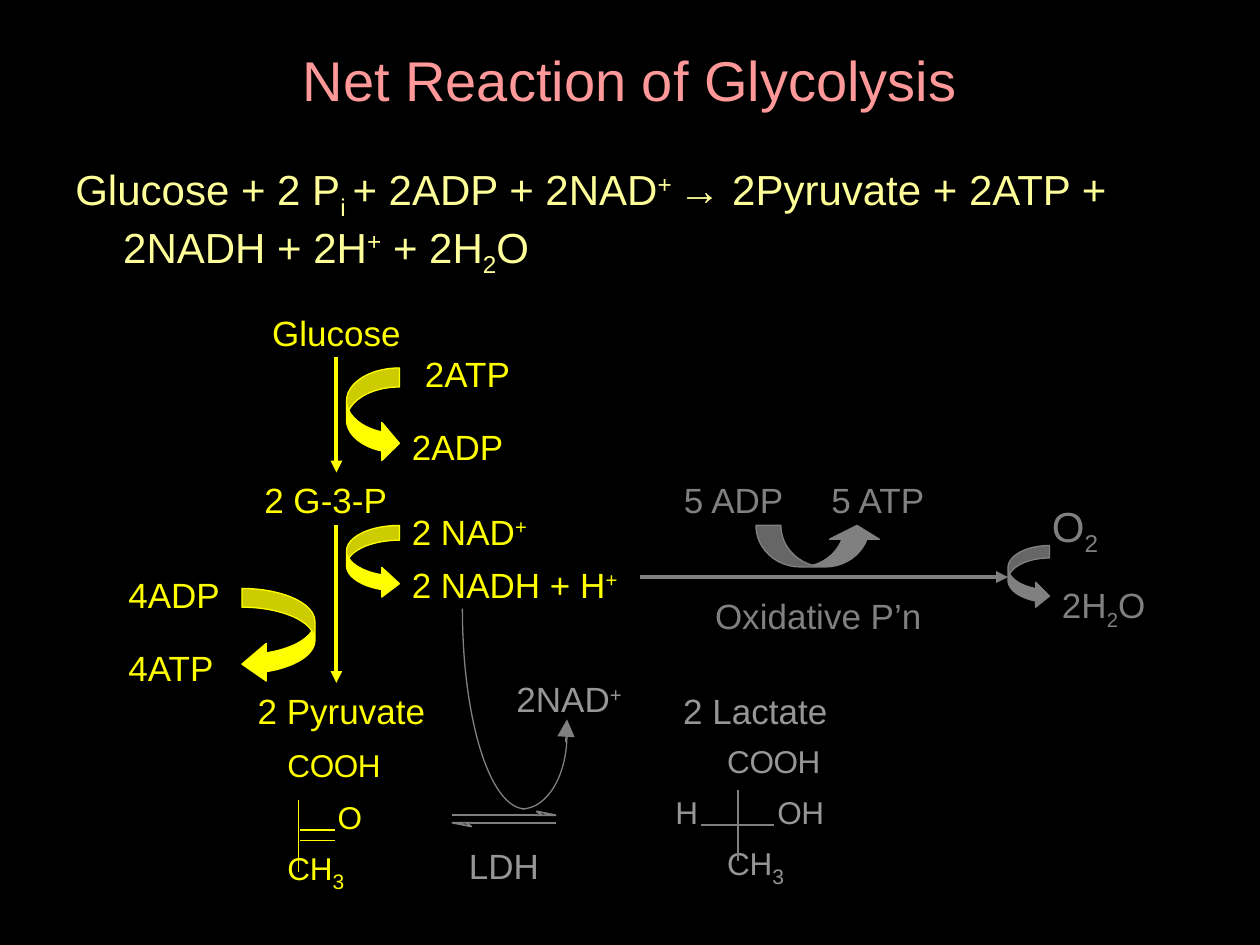
import pptx
import pptx.dml.color
import pptx.enum.shapes
import pptx.enum.text
import pptx.oxml.ns
import pptx.util
from lxml import etree

Inches = pptx.util.Inches
Pt = pptx.util.Pt
Shape = pptx.enum.shapes.MSO_SHAPE
Align = pptx.enum.text.PP_ALIGN
Anchor = pptx.enum.text.MSO_ANCHOR
qn = pptx.oxml.ns.qn

BLACK, YELLOW, GRAY, SILVER = "000000", "FFFF00", "808080", "969696"
WIDTHS = {"C": 0.18, "H": 0.18, "O": 0.19, "3": 0.09}


def rgb(code):
    """Turn a hex string into a colour."""
    return pptx.dml.color.RGBColor.from_string(code)


class Slide:
    """Holds the style and the current slide."""

    font = "Arial"

    def __init__(self, deck):
        """Add a blank slide with a black ground."""
        self.page = deck.slides.add_slide(deck.slide_layouts[6])
        self.shapes = self.page.shapes
        self.page.background.fill.solid()
        self.page.background.fill.fore_color.rgb = rgb(BLACK)

    def text(self, x, y, w, h, words, color, size=20, align=Align.LEFT):
        """Add text; parts split by | are lowered by _ or raised by ^."""
        box = self.shapes.add_textbox(Inches(x), Inches(y), Inches(w), Inches(h))
        frame = box.text_frame
        frame.word_wrap = True
        para = frame.paragraphs[0]
        para.alignment = align
        para.font.name = self.font
        para.font.size = Pt(size)
        para.font.color.rgb = rgb(color)
        for part in words.split("|"):
            run = para.add_run()
            run.text = part.lstrip("_^")
            shift = {"_": "-25000", "^": "30000"}.get(part[0])
            if shift:
                run._r.get_or_add_rPr().set("baseline", shift)
        return frame

    def atoms(self, x, y, letters, color):
        """Set the letters of a formula side by side."""
        for letter in letters:
            low = letter.isdigit()
            wide = WIDTHS[letter]
            frame = self.text(x, y + 0.15 * low, wide, 0.2 if low else 0.3, letter,
                              color, 12 if low else 18, Align.CENTER)
            frame.word_wrap = False
            frame.margin_left = frame.margin_right = 0
            frame.margin_top = frame.margin_bottom = 0
            x += wide

    def line(self, x1, y1, x2, y2, color, width=1, head=None):
        """Add a line, with an arrowhead of the given size if any."""
        line = self.shapes.add_connector(
            pptx.enum.shapes.MSO_CONNECTOR.STRAIGHT,
            Inches(x1), Inches(y1), Inches(x2), Inches(y2))
        line.line.color.rgb = rgb(color)
        line.line.width = Pt(width)
        props = line._element.spPr
        if head:
            etree.SubElement(props.find(qn("a:ln")), qn("a:tailEnd"),
                             type="triangle", w=head, len=head)
        etree.SubElement(props, qn("a:effectLst"))

    def paint(self, shape, fill, color, width):
        """Give a shape its fill and line, and no shadow."""
        shape.shadow.inherit = False
        if fill:
            shape.fill.solid()
            shape.fill.fore_color.rgb = rgb(fill)
        else:
            shape.fill.background()
        shape.line.color.rgb = rgb(color)
        shape.line.width = Pt(width)

    def bend(self, kind, x, y, w, h, adjust, color):
        """Add a curved block arrow."""
        arrow = self.shapes.add_shape(kind, Inches(x), Inches(y), Inches(w), Inches(h))
        for index, value in enumerate((adjust, 2 * adjust, 0.333)):
            arrow.adjustments[index] = value
        self.paint(arrow, color, color, 0.75)

    def free(self, points, close):
        """Build an outline through the points."""
        spots = [(Inches(x), Inches(y)) for x, y in points]
        path = self.shapes.build_freeform(*spots[0])
        path.add_line_segments(spots[1:], close=close)
        return path.convert_to_shape()

    def barb(self, points):
        """Add a small half arrowhead."""
        self.paint(self.free(points, True), BLACK, GRAY, 1)

    def curve(self, points):
        """Add a Bezier curve from its four points."""
        shape = self.free(points, False)
        steps = list(shape._element.iter(qn("a:lnTo")))
        bezier = etree.SubElement(steps[0].getparent(), qn("a:cubicBezTo"))
        for step in steps:
            bezier.append(step[0])
            step.getparent().remove(step)
        self.paint(shape, None, GRAY, 0.75)


deck = pptx.Presentation()
deck.slide_width, deck.slide_height = Inches(10), Inches(7.5)
slide = Slide(deck)

title = slide.text(0.5, 0, 9, 1.25, "Net Reaction of Glycolysis", "FF9999", 32, Align.CENTER)
title.vertical_anchor = Anchor.MIDDLE
body = slide.text(
    0.5, 1.25, 9.17, 0.92,
    "Glucose + 2 P|_i |+ 2ADP + 2NAD|^+ |→ 2Pyruvate + 2ATP + 2NADH + 2H|^+| + 2H|_2|O",
    "FFFF99", 24)
indent = body.paragraphs[0]._p.get_or_add_pPr()
indent.set("marL", str(Inches(0.38)))
indent.set("indent", str(-Inches(0.38)))

# Pathway labels
for x, y, w, words, color in (
        (1.42, 2.42, 2.5, "Glucose", YELLOW),
        (3, 2.75, 1.42, "2ATP", YELLOW),
        (1.42, 3.75, 2.33, "2 G-3-P", YELLOW),
        (1.75, 5.42, 1.92, "2 Pyruvate", YELLOW),
        (5.08, 4.67, 2.83, "Oxidative P’n", GRAY),
        (5.08, 5.42, 1.83, "2 Lactate", SILVER),
        (3.5, 6.65, 1, "LDH", SILVER)):
    slide.text(x, y, w, 0.43, words, color, align=Align.CENTER)
for x, y, w, words, color in (
        (0.92, 4.5, 1.17, "4ADP", YELLOW),
        (0.92, 5.08, 0.92, "4ATP", YELLOW),
        (3.17, 3.33, 0.93, "2ADP", YELLOW),
        (3.17, 4, 1.67, "2 NAD|^+", YELLOW),
        (3.17, 4.42, 2, "2 NADH + H|^+", YELLOW),
        (5.33, 3.75, 1.08, "5 ADP", GRAY),
        (6.5, 3.75, 1.5, "5 ATP", GRAY),
        (8.33, 4.58, 1.25, "2H|_2|O", GRAY),
        (4, 5.33, 1.17, "2NAD|^+", SILVER)):
    slide.text(x, y, w, 0.43, words, color)
slide.text(8.25, 3.92, 1.33, 0.5, "O|_2", GRAY, 24)

# Pathway arrows
slide.line(2.67, 2.83, 2.67, 3.75, YELLOW, 2.25, "med")
slide.line(2.67, 4.17, 2.67, 5.42, YELLOW, 2.25, "med")
slide.line(5.08, 4.58, 8, 4.58, GRAY, 2.25, "med")
slide.bend(Shape.CURVED_RIGHT_ARROW, 2.75, 2.92, 0.42, 0.75, 0.36, YELLOW)
slide.bend(Shape.CURVED_RIGHT_ARROW, 2.75, 4.17, 0.42, 0.58, 0.28, YELLOW)
slide.bend(Shape.CURVED_LEFT_ARROW, 1.92, 4.67, 0.58, 0.75, 0.257, YELLOW)
slide.bend(Shape.CURVED_UP_ARROW, 6, 4.17, 1, 0.33, 0.6, GRAY)
slide.bend(Shape.CURVED_RIGHT_ARROW, 8, 4.33, 0.33, 0.5, 0.3, GRAY)

# Pyruvate and lactate formulas
for x, y, letters, color in (
        (2.28, 5.92, "COOH", YELLOW), (2.68, 6.33, "O", YELLOW),
        (2.28, 6.74, "CH3", YELLOW),
        (5.77, 5.89, "COOH", SILVER), (5.36, 6.29, "H", SILVER),
        (6.17, 6.29, "OH", SILVER), (5.77, 6.7, "CH3", SILVER)):
    slide.atoms(x, y, letters, color)
for x1, y1, x2, y2, color in (
        (2.37, 6.35, 2.37, 6.63, YELLOW), (2.37, 6.63, 2.37, 6.92, YELLOW),
        (2.38, 6.59, 2.66, 6.59, YELLOW), (2.38, 6.67, 2.66, 6.67, YELLOW),
        (5.86, 6.27, 5.86, 6.55, GRAY), (5.86, 6.55, 5.86, 6.83, GRAY),
        (5.86, 6.55, 5.56, 6.55, GRAY), (5.86, 6.55, 6.14, 6.55, GRAY),
        (3.59, 6.47, 4.26, 6.47, GRAY), (3.74, 6.53, 4.41, 6.53, GRAY)):
    slide.line(x1, y1, x2, y2, color)

# Reversible LDH step and the return of NAD+
slide.barb([(4.26, 6.47), (4.3, 6.47), (4.26, 6.44), (4.41, 6.47)])
slide.barb([(3.74, 6.53), (3.7, 6.53), (3.74, 6.56), (3.59, 6.53)])
slide.curve([(3.67, 4.83), (3.67, 5.71), (3.89, 6.42), (4.17, 6.42)])
slide.curve([(4.5, 5.83), (4.5, 6.16), (4.34, 6.42), (4.14, 6.42)])
slide.line(4.49, 5.89, 4.5, 5.71, GRAY, 0.75, "lg")

deck.save("out.pptx")
